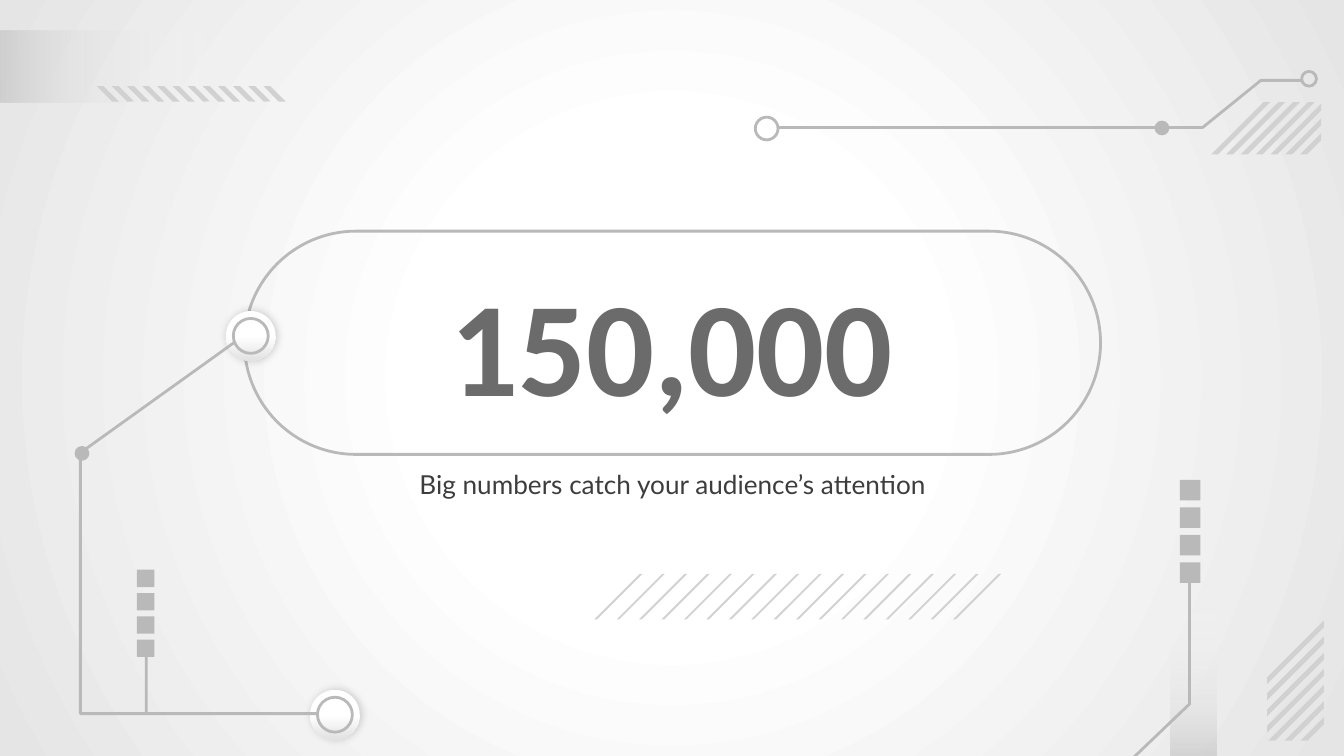
from dataclasses import dataclass

from lxml.etree import SubElement
from pptx import Presentation
from pptx.dml.color import RGBColor
from pptx.enum.shapes import MSO_SHAPE
from pptx.enum.text import MSO_ANCHOR, PP_ALIGN
from pptx.oxml.ns import qn
from pptx.util import Cm, Pt

WHITE = RGBColor(0xFF, 0xFF, 0xFF)
BLACK = RGBColor(0x00, 0x00, 0x00)
EDGE = RGBColor(0xE5, 0xE5, 0xE5)
KNOB_SHADE = RGBColor(0xE2, 0xE2, 0xE2)
BAND_MIDDLE = RGBColor(0xDC, 0xDC, 0xDC)
WIRE = RGBColor(0xB9, 0xB9, 0xB9)
STRIPE = RGBColor(0xD1, 0xD1, 0xD1)
NUMBER = RGBColor(0x6B, 0x6B, 0x6B)
CAPTION = RGBColor(0x3D, 0x3D, 0x3D)


@dataclass
class Stop:
    position: int
    color: RGBColor
    opacity: int = 100


@dataclass
class Band:
    left: float
    top: float
    width: float
    height: float
    rotation: int


@dataclass
class Hatch:
    """Diagonal stripes in a box; first and last are x + y of the stripes' edges."""
    left: float
    top: float
    width: float
    height: float
    first: float
    last: float
    thickness: float
    count: int
    mirrored: bool = False


@dataclass
class SquareColumn:
    left: float
    top: float
    size: float
    pitch: float
    count: int = 4


@dataclass
class Label:
    text: str
    left: float
    top: float
    width: float
    height: float
    font: str
    size: int
    color: RGBColor
    bold: bool
    anchor: MSO_ANCHOR


BACKDROP = [Stop(0, WHITE), Stop(32, WHITE), Stop(100, EDGE)]
FADE = [Stop(0, WIRE), Stop(43, BAND_MIDDLE, 42), Stop(100, WHITE, 0)]
KNOB_FILL = [Stop(0, WHITE), Stop(50, WHITE), Stop(100, KNOB_SHADE)]

BANDS = [Band(20.7, 12.75, 3.71, 0.86, 90), Band(-0.91, 0.58, 5.13, 1.35, 180)]
KNOBS = [(6.33, 13.51), (4.74, 6.35)]
WIRES = [
    [(4.42, 6.48), (1.52, 8.56), (1.52, 13.49), (5.99, 13.49)],
    [(22.48, 10.95), (22.48, 13.31), (21.36, 14.38)],
    [(24.61, 1.52), (23.83, 1.52), (22.73, 2.41), (14.71, 2.41)],
]
RINGS = [(14.49, 2.43, 0.43), (24.74, 1.49, 0.28)]
DOTS = [(1.55, 8.57, 0.28), (21.96, 2.42, 0.28)]
COLUMNS = [SquareColumn(2.59, 10.77, 0.33, 0.44), SquareColumn(22.3, 9.07, 0.39, 0.52)]
HATCHES = [
    Hatch(11.23, 10.85, 7.69, 0.86, 0.86, 7.64, 0.05, 17),
    Hatch(23.95, 11.73, 1.07, 2.27, 1.07, 2.9, 0.13, 7),
    Hatch(1.83, 1.63, 3.57, 0.29, 0.29, 3.44, 0.13, 12, mirrored=True),
    Hatch(22.89, 1.93, 2.08, 0.99, 0.99, 2.67, 0.13, 7),
]
LABELS = [
    Label("150,000", 6.2, 4.72, 13, 3.53, "Calibri", 72, NUMBER, True, MSO_ANCHOR.MIDDLE),
    Label("Big numbers catch your audience’s attention", 5.82, 8.61, 13.79, 1.37,
          "Lato", 14, CAPTION, False, MSO_ANCHOR.TOP),
]


def set_gradient(parent, stops: list[Stop], angle: int | None = None) -> None:
    """Swap the solid fill for a gradient, circular when no angle is given."""
    solid = parent.find(qn("a:solidFill"))
    gradient = SubElement(parent, qn("a:gradFill"), rotWithShape="1")
    parent.replace(solid, gradient)
    stop_list = SubElement(gradient, qn("a:gsLst"))
    for stop in stops:
        entry = SubElement(stop_list, qn("a:gs"), pos=str(stop.position * 1000))
        color = SubElement(entry, qn("a:srgbClr"), val=str(stop.color))
        if stop.opacity < 100:
            SubElement(color, qn("a:alpha"), val=str(stop.opacity * 1000))
    if angle is None:
        circle = SubElement(gradient, qn("a:path"), path="circle")
        SubElement(circle, qn("a:fillToRect"), l="50000", t="50000", r="50000", b="50000")
    else:
        SubElement(gradient, qn("a:lin"), ang=str(angle * 60000), scaled="0")


def paint(shape, fill: RGBColor | None = None, line: RGBColor | None = None) -> None:
    shape.shadow.inherit = False
    if fill is None:
        shape.fill.background()
    else:
        shape.fill.solid()
        shape.fill.fore_color.rgb = fill
    if line is None:
        shape.line.fill.background()
    else:
        shape.line.color.rgb = line
        shape.line.width = Pt(1.5)


def add_preset(slide, kind: MSO_SHAPE, left: float, top: float, width: float, height: float,
               fill: RGBColor | None = None, line: RGBColor | None = None):
    shape = slide.shapes.add_shape(kind, Cm(left), Cm(top), Cm(width), Cm(height))
    paint(shape, fill, line)
    return shape


def add_circle(slide, x: float, y: float, diameter: float,
               fill: RGBColor | None = None, line: RGBColor | None = None):
    """Circle placed by its centre."""
    return add_preset(slide, MSO_SHAPE.OVAL, x - diameter / 2, y - diameter / 2,
                      diameter, diameter, fill, line)


def add_outline(slide, points: list[tuple[float, float]], close: bool):
    start, *rest = [(Cm(x), Cm(y)) for x, y in points]
    builder = slide.shapes.build_freeform(*start)
    builder.add_line_segments(rest, close=close)
    return builder.convert_to_shape()


def add_band(slide, band: Band) -> None:
    shape = add_preset(slide, MSO_SHAPE.PARALLELOGRAM, band.left, band.top,
                       band.width, band.height, WIRE)
    shape.adjustments[0] = 0.25
    shape.rotation = band.rotation
    properties = shape.element.spPr
    properties.find(qn("a:xfrm")).set("flipH", "1")
    set_gradient(properties, FADE, 0)


def add_knob(slide, x: float, y: float) -> None:
    base = add_circle(slide, x, y, 0.94, WHITE)
    properties = base.element.spPr
    set_gradient(properties, KNOB_FILL, 90)
    shadow = SubElement(properties.find(qn("a:effectLst")), qn("a:outerShdw"),
                        blurRad=str(Pt(4.5)), dist=str(Pt(0.8)), dir="0",
                        algn="ctr", rotWithShape="0")
    color = SubElement(shadow, qn("a:srgbClr"), val=str(BLACK))
    SubElement(color, qn("a:alpha"), val="19000")
    add_circle(slide, x, y, 0.66, line=WIRE)


def add_hatch(slide, hatch: Hatch) -> None:
    def edge(total: float) -> list[tuple[float, float]]:
        """Both ends of the diagonal x + y = total, cut off at the box."""
        ends = [max(0, total - hatch.height), min(hatch.width, total)]
        return [(hatch.left + (hatch.width - x if hatch.mirrored else x),
                 hatch.top + total - x) for x in ends]

    pitch = (hatch.last - hatch.first) / (hatch.count - 1)
    for index in range(hatch.count):
        total = hatch.first + index * pitch
        corners = edge(total) + edge(total + hatch.thickness)[::-1]
        paint(add_outline(slide, corners, close=True), STRIPE)


def add_label(slide, label: Label) -> None:
    frame = slide.shapes.add_textbox(Cm(label.left), Cm(label.top),
                                     Cm(label.width), Cm(label.height)).text_frame
    frame.word_wrap = True
    frame.vertical_anchor = label.anchor
    frame.margin_left = frame.margin_right = Cm(0.25)
    frame.margin_top = frame.margin_bottom = Cm(0.25)
    frame.text = label.text
    paragraph = frame.paragraphs[0]
    paragraph.alignment = PP_ALIGN.CENTER
    font = paragraph.runs[0].font
    font.name, font.size, font.bold = label.font, Pt(label.size), label.bold
    font.color.rgb = label.color


def main() -> None:
    presentation = Presentation()
    presentation.slide_width, presentation.slide_height = Cm(25.4), Cm(14.29)
    slide = presentation.slides.add_slide(presentation.slide_layouts[6])
    slide.background.fill.solid()
    set_gradient(slide.element.find(".//" + qn("p:bgPr")), BACKDROP)

    for band in BANDS:
        add_band(slide, band)
    capsule = add_preset(slide, MSO_SHAPE.ROUNDED_RECTANGLE, 4.62, 4.37, 16.18, 4.22, line=WIRE)
    capsule.adjustments[0] = 0.5
    for label in LABELS:
        add_label(slide, label)
    for x, y in KNOBS:
        add_knob(slide, x, y)
    for points in WIRES:
        paint(add_outline(slide, points, close=False), line=WIRE)
    add_preset(slide, MSO_SHAPE.RECTANGLE, 2.74, 12.32, 0.05, 1.17, WIRE)
    for column in COLUMNS:
        for row in range(column.count):
            add_preset(slide, MSO_SHAPE.RECTANGLE, column.left, column.top + row * column.pitch,
                       column.size, column.size, WIRE)
    for hatch in HATCHES:
        add_hatch(slide, hatch)
    for x, y, diameter in RINGS:
        add_circle(slide, x, y, diameter, line=WIRE)
    for x, y, diameter in DOTS:
        add_circle(slide, x, y, diameter, WIRE)
    presentation.save("out.pptx")


if __name__ == "__main__":
    main()
